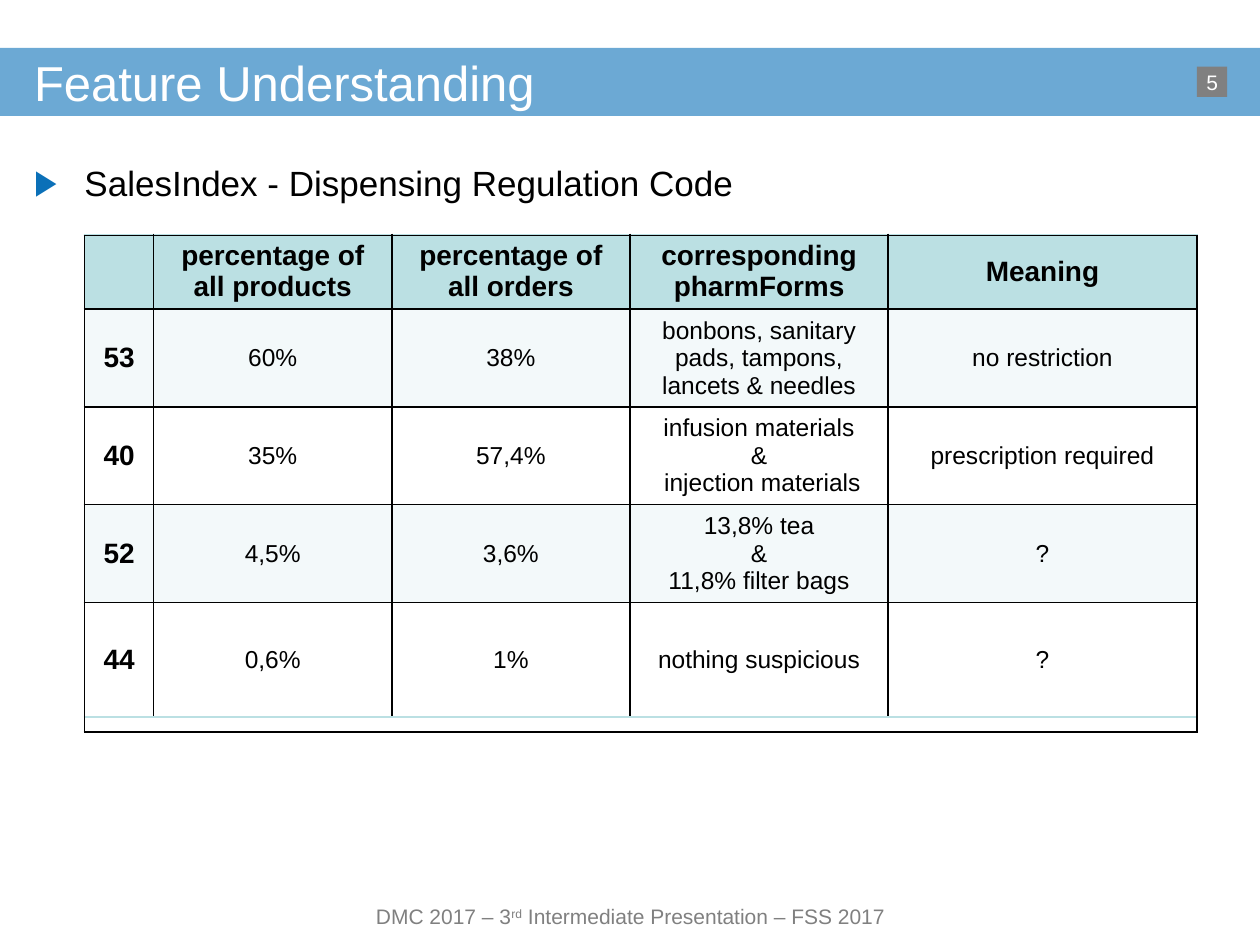
from lxml.etree import SubElement
from pptx import Presentation
from pptx.dml.color import RGBColor
from pptx.enum.shapes import MSO_SHAPE
from pptx.enum.text import MSO_ANCHOR, MSO_AUTO_SIZE, PP_ALIGN
from pptx.oxml import parse_xml
from pptx.oxml.ns import nsdecls, qn
from pptx.util import Inches, Pt

BLUE = RGBColor(0x0B, 0x70, 0xB8)
GRAY = RGBColor(0x80, 0x80, 0x80)
TEAL = RGBColor(0xBB, 0xE0, 0xE3)
PALE = RGBColor(0xF3, 0xF9, 0xFA)
WHITE = RGBColor(0xFF, 0xFF, 0xFF)
BLACK = RGBColor(0x00, 0x00, 0x00)

COLUMN_WIDTHS = [0.55, 1.89, 1.89, 2.05, 2.45]
ROW_HEIGHTS = [0.41, 0.41, 0.41, 0.41, 0.91]
ROWS = [
    ["", "percentage of all products", "percentage of all orders",
     "corresponding\vpharmForms", "Meaning"],
    ["53", "60%", "38%", "bonbons, sanitary pads, tampons, lancets & needles",
     "no restriction"],
    ["40", "35%", "57,4%", "infusion materials\n&\n injection materials",
     "prescription required"],
    ["52", "4,5%", "3,6%", "13,8% tea\n&\v11,8% filter bags", "?"],
    ["44", "0,6%", "1%", "nothing suspicious", "?"],
]


def apply(target, values):
    for name, value in values.items():
        setattr(target, name, value)


def place(shape, box):
    names = ("left", "top", "width", "height")
    apply(shape, dict(zip(names, map(Inches, box))))


def style_span(span, size, color, bold=False):
    apply(span.font, {"name": "Arial", "size": Pt(size), "bold": bold})
    span.font.color.rgb = color


def set_frame(frame, anchor=MSO_ANCHOR.MIDDLE, wrap=True):
    apply(frame, {
        "margin_left": 0, "margin_top": 0, "margin_right": 0, "margin_bottom": 0,
        "word_wrap": wrap, "vertical_anchor": anchor,
        "auto_size": MSO_AUTO_SIZE.NONE,
    })


def write(frame, text, size, color, align=PP_ALIGN.LEFT, bold=False):
    frame.text = text
    for para in frame.paragraphs:
        para.alignment = align
        for span in para.runs:
            style_span(span, size, color, bold)


def add_block(page, box, color):
    block = page.shapes.add_shape(MSO_SHAPE.RECTANGLE, *map(Inches, box))
    block.shadow.inherit = False
    block.fill.solid()
    block.fill.fore_color.rgb = color
    block.line.fill.background()
    return block


def add_header(page, box):
    left, top, width, height = box
    title = page.shapes.title
    place(title, (left + 0.27, top, 9.45, height))
    set_frame(title.text_frame)
    write(title.text_frame, "Feature Understanding", 28, WHITE)

    band = add_block(page, box, BLUE)
    color = band.fill._xPr.find(qn("a:solidFill"))[0]
    SubElement(color, qn("a:alpha"), val="60000")
    title.element.addprevious(band.element)

    number = add_block(page, (left + 9.5, top + 0.15, 0.24, 0.24), GRAY)
    set_frame(number.text_frame, wrap=False)
    write(number.text_frame, "5", 12, WHITE, PP_ALIGN.CENTER)


def add_body(page, box):
    body = page.placeholders[1]
    place(body, box)
    set_frame(body.text_frame, MSO_ANCHOR.TOP)
    write(body.text_frame, "SalesIndex - Dispensing Regulation Code", 20, BLACK)
    para = body.text_frame.paragraphs[0]
    para.space_before = Pt(4)
    properties = para._p.get_or_add_pPr()
    properties.set("marL", str(Inches(0.4)))
    properties.set("indent", str(Inches(-0.4)))
    bullet_color = SubElement(properties, qn("a:buClr"))
    SubElement(bullet_color, qn("a:srgbClr"), val=str(BLUE))
    SubElement(properties, qn("a:buFont"), typeface="Arial")
    SubElement(properties, qn("a:buChar"), char="▶")


def set_borders(cell, colors):
    properties = cell._tc.get_or_add_tcPr()
    for position, (side, color) in enumerate(zip("LRTB", colors)):
        properties.insert(position, parse_xml(
            f'<a:ln{side} {nsdecls("a")} w="{Pt(1)}"><a:solidFill>'
            f'<a:srgbClr val="{color}"/></a:solidFill></a:ln{side}>'))


def add_plain_table(page, box, rows, columns):
    holder = page.shapes.add_table(rows, columns, *map(Inches, box))
    apply(holder.table, {"first_row": False, "horz_banding": False})
    return holder


def fill_cell(cell, text, row, column):
    header = row == 0
    cell.vertical_anchor = MSO_ANCHOR.MIDDLE
    if not header:
        apply(cell, {"margin_left": Inches(0.14), "margin_right": Inches(0.14),
                     "margin_top": Inches(0.06), "margin_bottom": Inches(0.06)})
    bold = header or column == 0
    write(cell.text_frame, text, 16 if bold else 14, BLACK, PP_ALIGN.CENTER, bold)
    cell.fill.solid()
    cell.fill.fore_color.rgb = TEAL if header else PALE if row % 2 else WHITE
    outer = (column == 0, column == len(COLUMN_WIDTHS) - 1,
             row == 0, row == len(ROWS) - 1)
    set_borders(cell, [TEAL if edge else BLACK for edge in outer])


def add_code_table(page, box):
    holder = add_plain_table(page, box, len(ROWS), len(COLUMN_WIDTHS))
    table = holder.table
    for column, width in zip(table.columns, COLUMN_WIDTHS):
        column.width = Inches(width)
    for row, height in zip(table.rows, ROW_HEIGHTS):
        row.height = Inches(height)
    for row, texts in enumerate(ROWS):
        for column, text in enumerate(texts):
            fill_cell(table.cell(row, column), text, row, column)
    place(holder, box)


def add_table_frame(page, box):
    cell = add_plain_table(page, box, 1, 1).table.cell(0, 0)
    cell.fill.background()
    set_borders(cell, [BLACK] * 4)


def add_footer(page, box):
    frame = page.shapes.add_textbox(*map(Inches, box)).text_frame
    set_frame(frame)
    para = frame.paragraphs[0]
    para.alignment = PP_ALIGN.CENTER
    for text in ("DMC 2017 – 3", "rd", " Intermediate Presentation – FSS 2017"):
        span = para.add_run()
        span.text = text
        style_span(span, 12, GRAY)
    para.runs[1].font._element.set("baseline", "30000")


def main():
    deck = Presentation()
    apply(deck, {"slide_width": Inches(10), "slide_height": Inches(7.5)})
    page = deck.slides.add_slide(deck.slide_layouts[1])
    add_header(page, (0, 0.38, 10, 0.54))
    add_body(page, (0.27, 1.28, 9.45, 5.65))
    add_footer(page, (2.64, 7.13, 4.73, 0.28))
    add_code_table(page, (0.67, 1.86, 8.83, 3.93))
    add_table_frame(page, (0.67, 1.87, 8.83, 3.94))
    deck.save("out.pptx")


if __name__ == "__main__":
    main()
